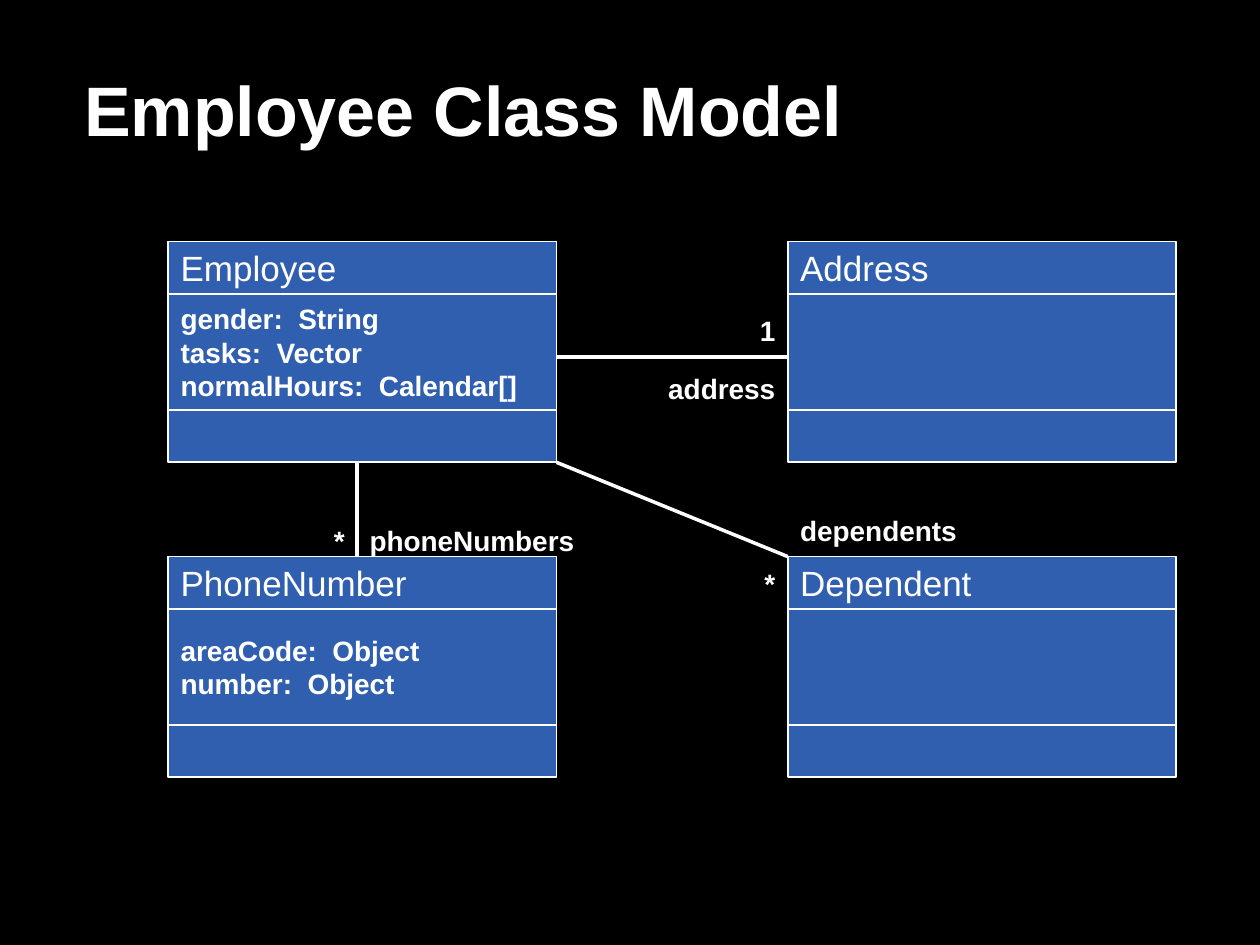
from lxml import etree
from pptx import Presentation
from pptx.dml.color import RGBColor
from pptx.enum.shapes import MSO_CONNECTOR, MSO_SHAPE
from pptx.enum.text import MSO_ANCHOR, PP_ALIGN
from pptx.oxml.ns import qn
from pptx.util import Cm, Pt

BLACK = RGBColor(0x00, 0x00, 0x00)
WHITE = RGBColor(0xFF, 0xFF, 0xFF)
BLUE = RGBColor(0x31, 0x5F, 0xAF)
FONT = "Arial"
RECTANGLE = MSO_SHAPE.RECTANGLE
STRAIGHT = MSO_CONNECTOR.STRAIGHT
MIDDLE = MSO_ANCHOR.MIDDLE
LEFT, RIGHT = PP_ALIGN.LEFT, PP_ALIGN.RIGHT

CLASS_WIDTH = 7.83
HEADER_HEIGHT = 1.06
ATTRIBUTES_HEIGHT = 2.33
CLASS_HEIGHT = 2 * HEADER_HEIGHT + ATTRIBUTES_HEIGHT
LEFT_COLUMN, RIGHT_COLUMN = 3.39, 15.88
TOP_ROW, BOTTOM_ROW = 4.87, 11.22
LABEL_WIDTH, COUNT_WIDTH, LABEL_HEIGHT = 4.66, 2.75, 1.06


def write(shape, text, size, bold=True, align=LEFT):
    """Put white, vertically centred text into a shape."""
    frame = shape.text_frame
    frame.text = text
    frame.word_wrap = False
    frame.vertical_anchor = MIDDLE
    for paragraph in frame.paragraphs:
        paragraph.alignment = align
        for run in paragraph.runs:
            run.font.name = FONT
            run.font.size = Pt(size)
            run.font.bold = bold
            run.font.color.rgb = WHITE


def add_title(slide, left, top, width, height, text):
    """Add the slide heading."""
    heading = slide.shapes.add_textbox(Cm(left), Cm(top), Cm(width), Cm(height))
    write(heading, text, 40)
    frame = heading.text_frame
    frame.word_wrap = True
    frame.margin_left = frame.margin_right = 0
    frame.margin_top = frame.margin_bottom = 0
    frame.paragraphs[0].line_spacing = 0.85


def add_class(slide, left, top, name, attributes):
    """Add a class box with name, attribute and operation compartments."""
    compartments = [
        (HEADER_HEIGHT, name, 20, False),
        (ATTRIBUTES_HEIGHT, "\n".join(attributes), 16, True),
        (HEADER_HEIGHT, "", 16, True),
    ]
    for height, text, size, bold in compartments:
        compartment = slide.shapes.add_shape(
            RECTANGLE, Cm(left), Cm(top), Cm(CLASS_WIDTH), Cm(height))
        compartment.shadow.inherit = False
        compartment.fill.solid()
        compartment.fill.fore_color.rgb = BLUE
        compartment.line.color.rgb = WHITE
        compartment.line.width = Pt(1)
        if text:
            write(compartment, text, size, bold)
        top += height


def add_association(slide, start, end, labels):
    """Add a line between two classes with its role and multiplicity labels."""
    link = slide.shapes.add_connector(STRAIGHT, *(Cm(value) for value in start + end))
    link.line.color.rgb = WHITE
    link.line.width = Pt(2)
    etree.SubElement(link._element.spPr, qn("a:effectLst"))
    for text, left, top, width, align in labels:
        label = slide.shapes.add_textbox(
            Cm(left), Cm(top), Cm(width), Cm(LABEL_HEIGHT))
        write(label, text, 16, align=align)


def add_class_model(slide):
    """Place the four classes and the associations between them."""
    employee_right = LEFT_COLUMN + CLASS_WIDTH
    employee_bottom = TOP_ROW + CLASS_HEIGHT
    address_y = TOP_ROW + HEADER_HEIGHT + ATTRIBUTES_HEIGHT / 2 + 0.1
    phone_x = 7.2
    phone_label_top = 10.37
    count_left = RIGHT_COLUMN - COUNT_WIDTH

    add_association(slide, (employee_right, address_y), (RIGHT_COLUMN, address_y), [
        ("address", RIGHT_COLUMN - LABEL_WIDTH, 7.3, LABEL_WIDTH, RIGHT),
        ("1", count_left, address_y - LABEL_HEIGHT, COUNT_WIDTH, RIGHT),
    ])
    add_association(slide, (phone_x, employee_bottom), (phone_x, 11.43), [
        ("*", phone_x - COUNT_WIDTH, phone_label_top, COUNT_WIDTH, RIGHT),
        ("phoneNumbers", phone_x, phone_label_top, LABEL_WIDTH, LEFT),
    ])
    add_association(slide, (employee_right, employee_bottom), (RIGHT_COLUMN, BOTTOM_ROW), [
        ("dependents", RIGHT_COLUMN, 10.16, LABEL_WIDTH, LEFT),
        ("*", count_left, BOTTOM_ROW, COUNT_WIDTH, RIGHT),
    ])

    add_class(slide, LEFT_COLUMN, TOP_ROW, "Employee",
              ["gender:  String", "tasks:  Vector", "normalHours:  Calendar[]"])
    add_class(slide, LEFT_COLUMN, BOTTOM_ROW, "PhoneNumber",
              ["areaCode:  Object", "number:  Object"])
    add_class(slide, RIGHT_COLUMN, TOP_ROW, "Address", [])
    add_class(slide, RIGHT_COLUMN, BOTTOM_ROW, "Dependent", [])


def main():
    """Build and save the presentation."""
    presentation = Presentation()
    presentation.slide_width, presentation.slide_height = Cm(25.4), Cm(19.05)
    slide = presentation.slides.add_slide(presentation.slide_layouts[6])
    slide.background.fill.solid()
    slide.background.fill.fore_color.rgb = BLACK
    add_title(slide, 1.7, 0.85, 20.75, 2.96, "Employee Class Model")
    add_class_model(slide)
    presentation.save("out.pptx")


if __name__ == "__main__":
    main()
